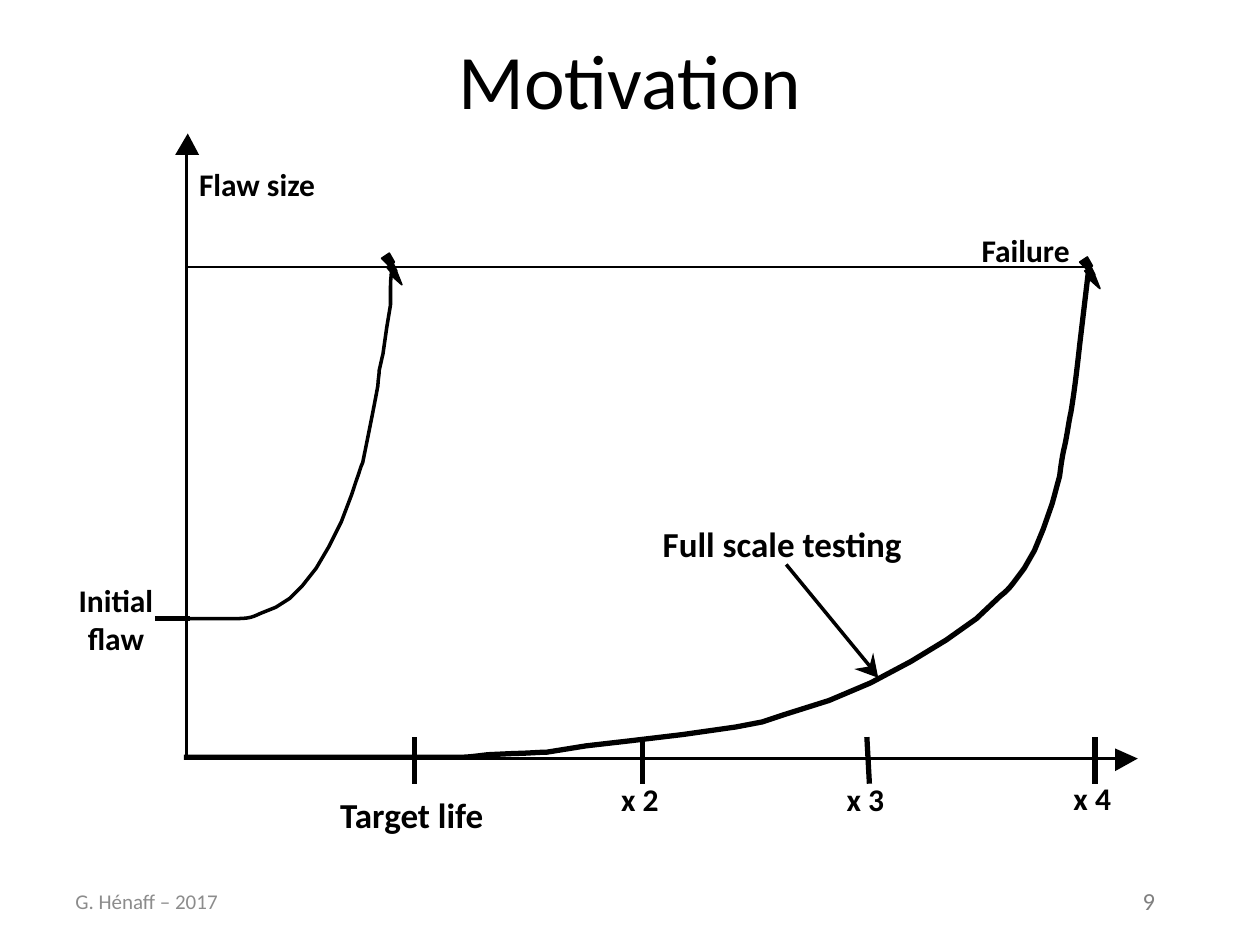
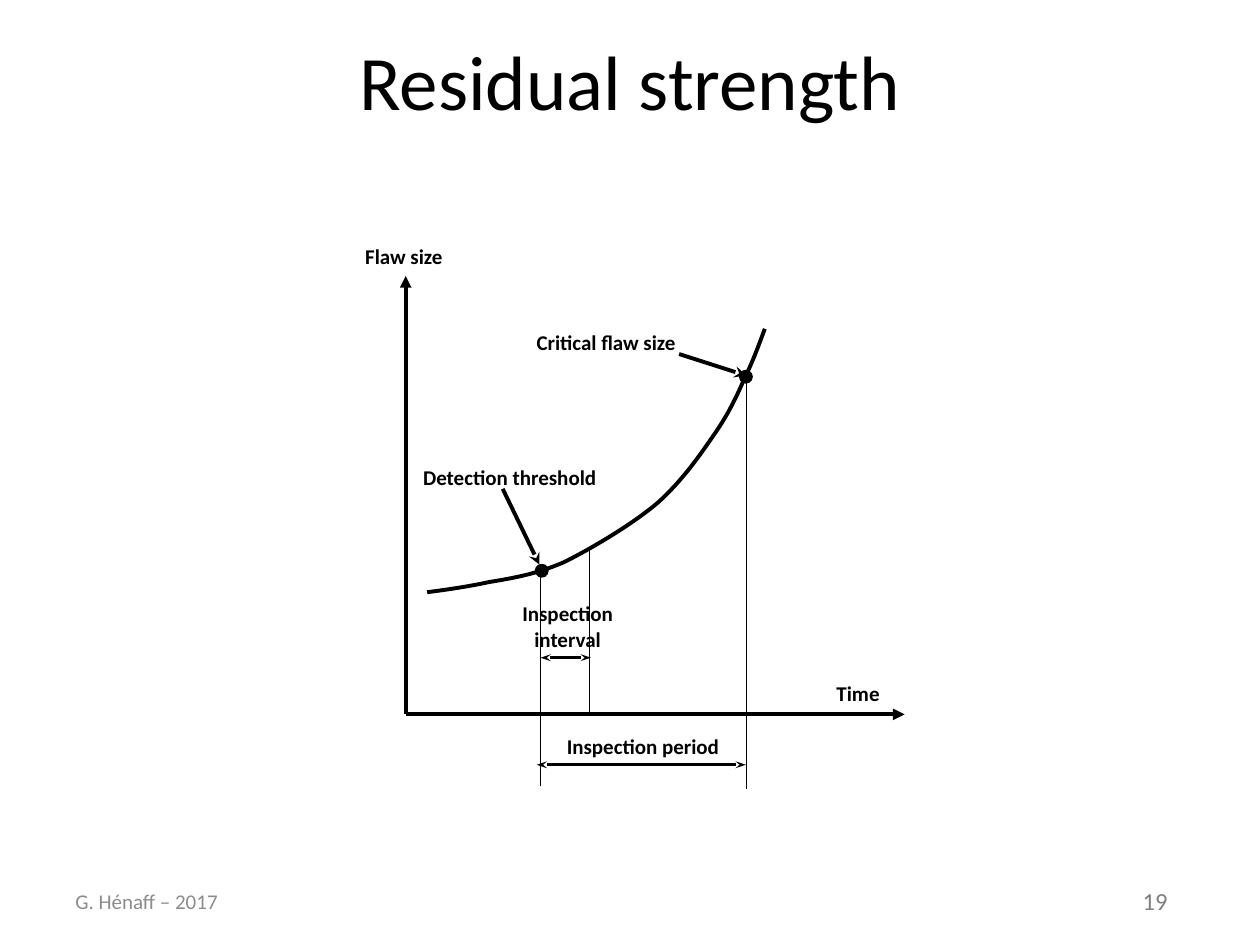
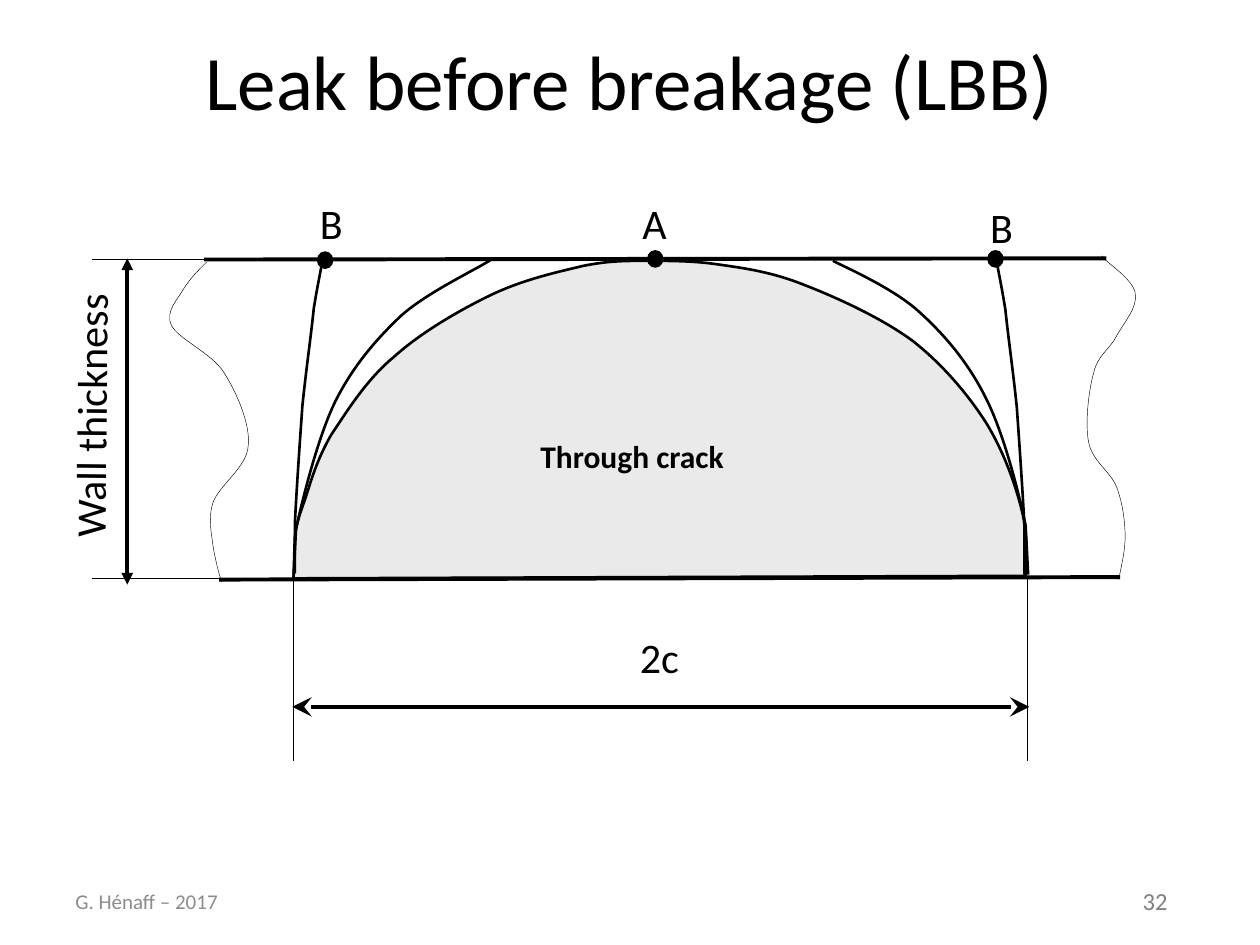
from dataclasses import dataclass

from lxml.etree import SubElement
from pptx import Presentation
from pptx.dml.color import RGBColor
from pptx.enum.shapes import MSO_CONNECTOR as Connector, MSO_SHAPE as Preset
from pptx.enum.text import MSO_ANCHOR as Anchor, MSO_AUTO_SIZE as AutoSize, PP_ALIGN as Align
from pptx.oxml.ns import qn
from pptx.util import Pt


@dataclass(frozen=True)
class Theme:
    font: str = "Calibri"
    ink: RGBColor = RGBColor(0x00, 0x00, 0x00)
    crack: RGBColor = RGBColor(0xEA, 0xEA, 0xEA)
    footer: RGBColor = RGBColor(0x8C, 0x8C, 0x8C)
    number: RGBColor = RGBColor(0x80, 0x80, 0x80)
    title_size: int = 44
    letter_size: int = 24
    large_size: int = 20
    label_size: int = 18
    number_size: int = 14
    small_size: int = 12


PX = 9144
theme = Theme()


def draw(slide, segments, fill, weight):
    points = [s[i:i + 2] for s in segments for i in range(0, len(s), 2)]
    builder = slide.shapes.build_freeform(*points[0], scale=PX)
    builder.add_line_segments(points[1:], close=fill is not None)
    outline = builder.convert_to_shape()
    outline.shadow.inherit = False
    steps = iter(list(outline._element.iter(qn("a:lnTo"))))
    for segment in segments[1:]:
        step = next(steps)
        if len(segment) == 6:
            step.tag = qn("a:cubicBezTo")
            for control in (next(steps), next(steps)):
                step.append(control[0])
                control.getparent().remove(control)
    if fill is None:
        outline.fill.background()
    else:
        outline.fill.solid()
        outline.fill.fore_color.rgb = fill
    if weight:
        outline.line.color.rgb = theme.ink
        outline.line.width = Pt(weight)
    else:
        outline.line.fill.background()


def write(slide, text, box, size, color=theme.ink, bold=False, align=Align.LEFT,
          inset=(10, 5), wrap=False, middle=False, rotation=0):
    label = slide.shapes.add_textbox(*(v * PX for v in box))
    label.rotation = rotation
    frame = label.text_frame
    frame.text = text
    frame.word_wrap = wrap
    frame.auto_size = AutoSize.NONE if middle else AutoSize.SHAPE_TO_FIT_TEXT
    frame.vertical_anchor = Anchor.MIDDLE if middle else Anchor.TOP
    frame.margin_left = frame.margin_right = inset[0] * PX
    frame.margin_top = frame.margin_bottom = inset[1] * PX
    paragraph = frame.paragraphs[0]
    paragraph.alignment = align
    font = paragraph.runs[0].font
    font.name, font.size, font.bold = theme.font, Pt(size), bold
    font.color.rgb = color


deck = Presentation()
deck.slide_width, deck.slide_height = 1000 * PX, 750 * PX
slides = []
for title, number, top in (
    ("Motivation", "9", 0),
    ("Residual strength", "19", 1),
    ("Leak before breakage (LBB)", "32", 1),
):
    slide = deck.slides.add_slide(deck.slide_layouts[6])
    write(slide, number, (897, 698, 53, 34), theme.number_size, theme.number)
    write(slide, title, (50, top, 900, 125), theme.title_size, align=Align.CENTER, wrap=True, middle=True)
    write(slide, "G. Hénaff – 2017", (50, 695, 233, 40), theme.small_size, theme.footer, wrap=True, middle=True)
    slides.append(slide)
motivation, strength, leak = slides

full_scale_curve = [
    (146, 601), (190, 601), (232, 601), (269, 601), (286, 601), (313, 601), (322, 601),
    (329, 601), (336, 601), (349, 601), (356, 601), (366, 601),
    (371, 601, 379, 600, 387, 599), (409, 598), (417, 598, 428, 597, 434, 597),
    (465, 592), (500, 588), (542, 583), (584, 577), (605, 573), (623, 567), (658, 556),
    (691, 542), (723, 525), (751, 508), (775, 491), (794, 473),
    (798, 470, 801, 467, 804, 463), (807, 459, 810, 455, 813, 451),
    (821, 437), (828, 420), (835, 400), (837, 393, 839, 385, 841, 378),
    (842, 370, 843, 362, 845, 354), (847, 345, 848, 336, 850, 327),
    (853, 309, 855, 291, 857, 273), (864, 214),
]
initial_flaw_curve = [
    (151, 491), (153, 491), (159, 491), (172, 491), (185, 491),
    (190, 491, 195, 491, 199, 490), (203, 489, 206, 487, 209, 486),
    (219, 482), (230, 475), (240, 465), (251, 451), (261, 434), (271, 414), (279, 393),
    (283, 381), (285, 376, 286, 371, 288, 367), (294, 337),
    (296, 327, 298, 317, 300, 306), (300, 302, 301, 298, 301, 294),
    (302, 290, 303, 285, 304, 281), (305, 274, 306, 267, 307, 260),
    (308, 254, 309, 248, 310, 242), (310, 227), (310, 221, 311, 216, 311, 211),
]
failure_mark = [
    (6, 0), (0, 4), (6, 10), (4, 11), (9, 17), (7, 17),
    (16, 25), (12, 15), (12, 14), (9, 8), (10, 7),
]
growth_curve = [
    (339, 470), (347, 469, 370, 466, 388, 462), (406, 459, 425, 456, 448, 446),
    (470, 435, 502, 416, 522, 399), (541, 382, 555, 362, 566, 346),
    (578, 329, 585, 314, 591, 300), (598, 286, 604, 269, 607, 261),
]
through_crack = [
    (233, 459), (814, 457), (814, 438, 816, 425, 811, 405),
    (806, 385, 797, 359, 783, 336), (769, 314, 749, 290, 725, 271),
    (701, 253, 664, 236, 638, 226), (613, 216, 592, 213, 571, 210),
    (551, 207, 532, 207, 514, 207), (496, 207, 483, 207, 463, 211),
    (442, 216, 415, 222, 390, 234), (365, 246, 334, 264, 313, 283),
    (291, 301, 275, 327, 263, 345), (252, 364, 247, 381, 243, 394),
    (238, 408, 235, 416, 234, 427),
]
right_front = [
    (661, 207), (673, 213, 709, 229, 729, 247), (749, 265, 768, 287, 782, 315),
    (797, 344, 809, 393, 814, 417), (816, 456),
]
left_front = [
    (390, 206), (378, 214, 339, 232, 318, 251), (298, 270, 280, 291, 266, 319),
    (252, 348, 240, 397, 235, 420), (233, 459),
]
left_edge = [
    (256, 206), (255, 213, 252, 226, 249, 245), (247, 265, 243, 293, 240, 322),
    (238, 350, 235, 394, 234, 416), (234, 455),
]
right_edge = [
    tuple(v + 1 if i % 2 else 1047 - v for i, v in enumerate(segment)) for segment in left_edge
]
left_break = [
    (164, 208), (157, 215, 151, 221, 146, 229), (141, 238, 131, 247, 136, 258),
    (141, 269, 168, 280, 178, 296), (188, 312, 199, 337, 197, 354),
    (196, 371, 174, 385, 169, 399), (165, 412, 168, 423, 169, 433),
    (171, 444, 173, 453, 176, 462),
]
right_break = [
    (875, 204), (875, 204, 873, 201, 877, 206), (881, 210, 900, 223, 901, 233),
    (903, 244, 892, 256, 886, 267), (881, 277, 871, 282, 868, 296),
    (864, 310, 861, 336, 864, 351), (867, 366, 881, 374, 886, 386),
    (891, 399, 893, 414, 893, 426), (893, 439, 889, 453, 888, 460),
]

draw(motivation, [(158, 123), (149, 106), (139, 123)], theme.ink, 0)
draw(motivation, [(885, 612), (903, 602), (885, 594)], theme.ink, 0)
draw(motivation, [(678, 531), (697, 538), (693, 518), (690, 529)], theme.ink, 0)
draw(motivation, full_scale_curve, None, 3)
draw(motivation, initial_flaw_curve, None, 2)
for left, top in ((857, 204), (303, 201)):
    draw(motivation, [(left + x, top + y) for x, y in failure_mark], theme.ink, 1)
draw(strength, growth_curve, None, 2.25)
draw(leak, through_crack, theme.crack, 1.5)
for front in (right_front, left_edge, left_front, right_edge):
    draw(leak, front, None, 1.5)
for wall_break in (left_break, right_break):
    draw(leak, wall_break, None, 0.25)

lines = [
    (motivation, (148, 602, 148, 119), 2, None, None, "med"),
    (motivation, (148, 602, 888, 602), 2, None, None, "med"),
    (motivation, (624, 448, 693, 532), 2, None, None, "med"),
    (motivation, (123, 491, 151, 491), 3, None, None, "med"),
    (motivation, (866, 212, 148, 212), 1, None, None, "med"),
    (strength, (322, 567, 322, 219), 2.25, None, "triangle", "med"),
    (strength, (322, 567, 718, 567), 2.25, None, "triangle", "med"),
    (strength, (429, 454, 429, 624), 0.25, None, None, "med"),
    (strength, (592, 300, 592, 626), 0.25, None, None, "med"),
    (strength, (468, 436, 468, 568), 0.25, None, None, "med"),
    (strength, (426, 607, 592, 607), 1.5, "stealth", "stealth", "sm"),
    (strength, (429, 522, 469, 522), 1.5, "stealth", "stealth", "sm"),
    (strength, (428, 448, 399, 388), 2.25, "stealth", None, "med"),
    (strength, (592, 298, 539, 281), 2.25, "stealth", None, "med"),
    (leak, (232, 561, 817, 561), 2.25, "stealth", "stealth", "lg"),
    (leak, (101, 205, 101, 464), 2.25, "triangle", "triangle", "med"),
    (leak, (174, 460, 889, 458), 2.25, None, None, "med"),
    (leak, (162, 206, 878, 205), 2.25, None, None, "med"),
]
for x, lower_x in ((329, 329), (510, 510), (688, 690), (869, 869)):
    lines.append((motivation, (x, 585, lower_x, 622), 3, None, None, "med"))
for x in (233, 815):
    lines.append((leak, (x, 458, x, 604), 0.25, None, None, "med"))
for y in (206, 459):
    lines.append((leak, (174, y, 73, y), 0.25, None, None, "med"))

for slide, ends, weight, head, tail, spread in lines:
    line = slide.shapes.add_connector(Connector.STRAIGHT, *(v * PX for v in ends))
    line.line.color.rgb = theme.ink
    line.line.width = Pt(weight)
    length = "lg" if spread == "lg" else "med"
    for tag, arrow in (("a:headEnd", head), ("a:tailEnd", tail)):
        if arrow:
            SubElement(line.line._get_or_add_ln(), qn(tag), type=arrow, w=spread, len=length)
    SubElement(line._element.spPr, qn("a:effectLst"))

for slide, box in (
    (strength, (425, 448, 10, 10)),
    (strength, (587, 294, 10, 10)),
    (leak, (514, 199, 12, 13)),
    (leak, (252, 200, 12, 13)),
    (leak, (784, 199, 12, 13)),
):
    dot = slide.shapes.add_shape(Preset.OVAL, *(v * PX for v in box))
    dot.shadow.inherit = False
    dot.fill.solid()
    dot.fill.fore_color.rgb = theme.ink
    dot.line.color.rgb = theme.ink
    dot.line.width = Pt(0.75)

for text, box, size in (
    ("Target life", (270, 630, 115, 34), theme.large_size),
    ("x 2", (493, 619, 30, 30), theme.label_size),
    ("x 3", (672, 619, 30, 30), theme.label_size),
    ("x 4", (852, 618, 30, 30), theme.label_size),
    ("Full scale testing", (526, 415, 191, 34), theme.large_size),
    ("Flaw size", (158, 131, 93, 30), theme.label_size),
    ("Failure", (779, 183, 70, 30), theme.label_size),
):
    write(motivation, text, box, size, bold=True, inset=(0, 0))
write(motivation, "Initial flaw", (61, 461, 62, 61), theme.label_size,
      bold=True, align=Align.CENTER, inset=(0, 0), wrap=True)

for text, box in (
    ("Flaw size", (280, 188, 82, 30)),
    ("Time", (654, 535, 55, 30)),
    ("Inspection period", (440, 577, 143, 30)),
    ("Detection threshold", (326, 364, 160, 30)),
    ("Critical flaw size", (416, 257, 132, 30)),
):
    write(strength, text, box, theme.small_size, bold=True)
write(strength, "Inspection interval", (401, 472, 99, 50), theme.small_size,
      bold=True, align=Align.CENTER, wrap=True)

for text, box in (
    ("A", (500, 152, 40, 50)),
    ("B", (776, 155, 38, 50)),
    ("B", (244, 152, 38, 50)),
    ("2c", (498, 496, 52, 50)),
):
    write(leak, text, box, theme.letter_size)
write(leak, "Through crack", (419, 342, 216, 50), theme.label_size, bold=True)
write(leak, "Wall thickness", (-36, 305, 215, 50), theme.letter_size, align=Align.CENTER, rotation=270.6)

deck.save("out.pptx")
